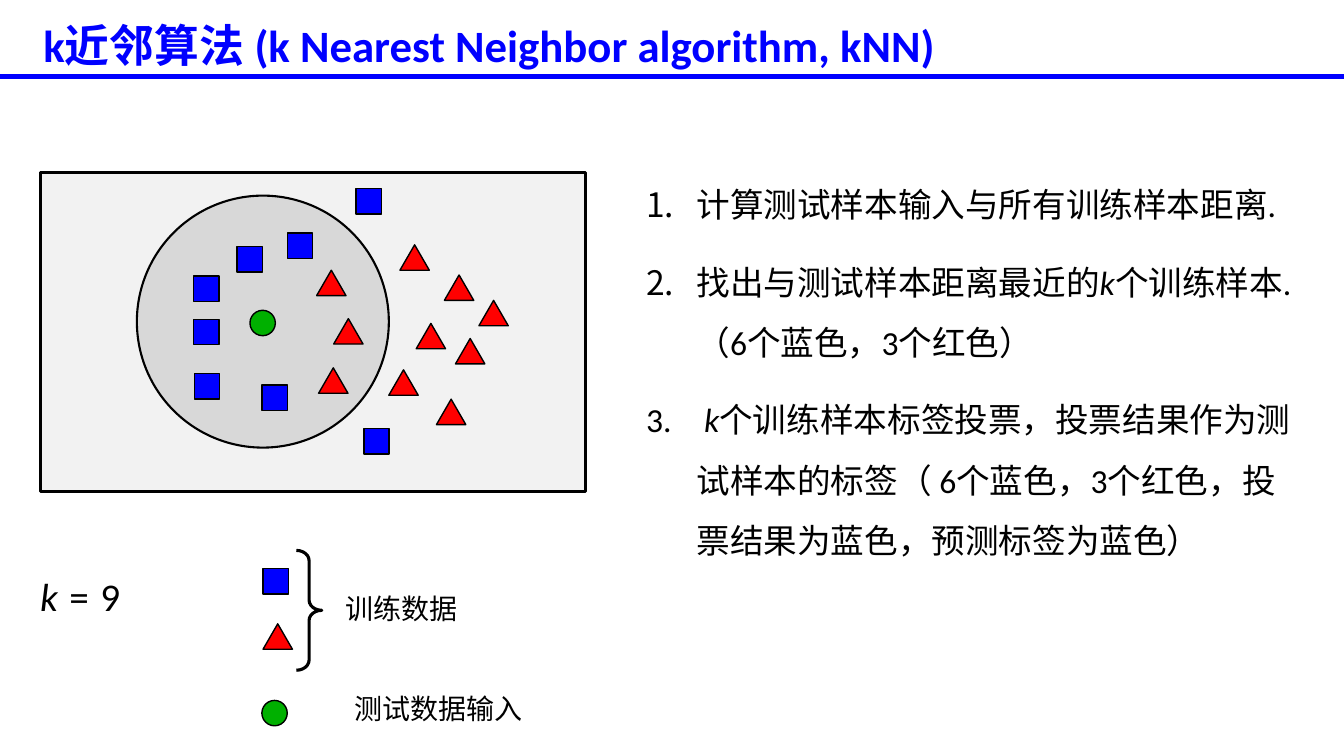
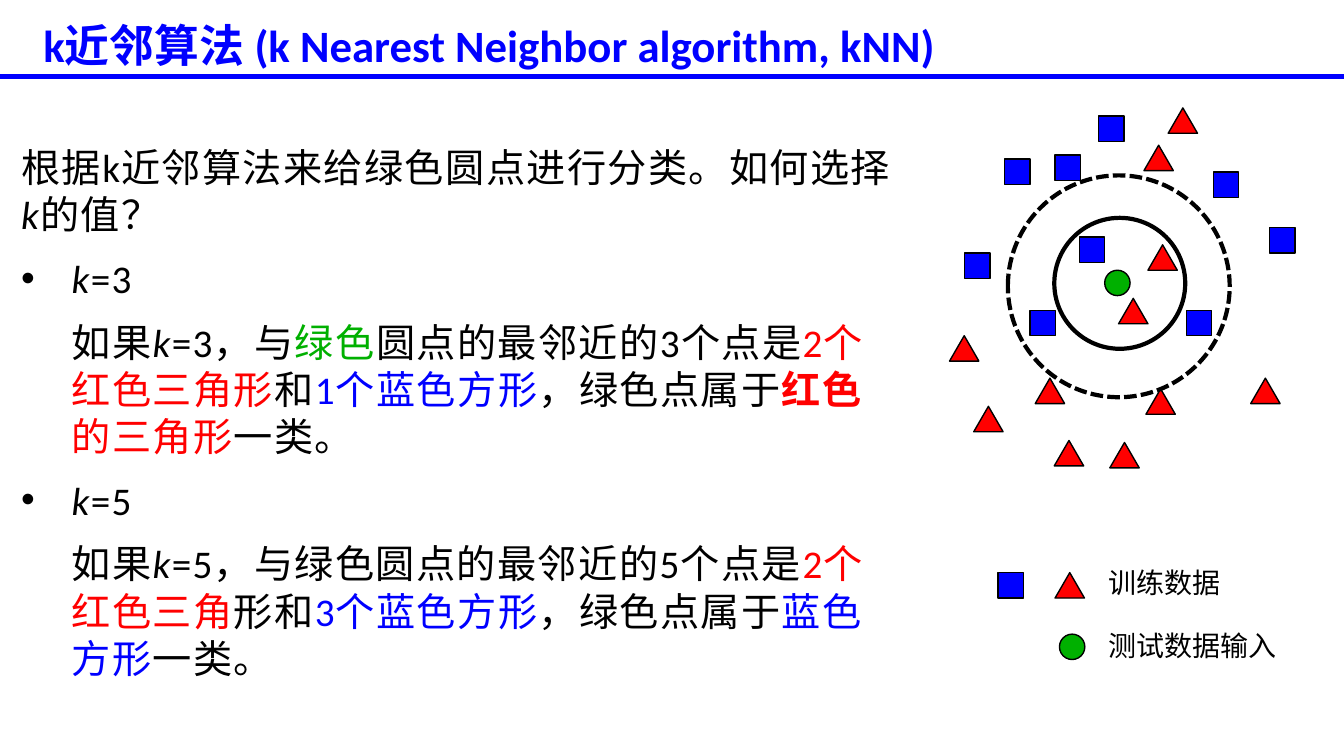
from dataclasses import dataclass
from typing import NamedTuple, Optional

from lxml import etree
from pptx import Presentation
from pptx.dml.color import RGBColor
from pptx.enum import dml, shapes, text
from pptx.oxml import ns
from pptx.util import Cm, Pt

Shape = shapes.MSO_SHAPE


@dataclass(frozen=True)
class Theme:
    black: str = "000000"
    blue: str = "0000FF"
    red: str = "FF0000"
    green: str = "00B000"
    panel: str = "F2F2F2"
    neighbourhood: str = "BFBFBF"
    latin: str = "Calibri"
    east_asian: str = "Noto Sans CJK SC"
    title: int = 32
    large: int = 28
    steps: int = 24
    label: int = 20


THEME = Theme()
SLIDE_W, SLIDE_H = 33.87, 19.05
HANGING = 1.27
TITLE = "k近邻算法 (k Nearest Neighbor algorithm, kNN)"


class Box(NamedTuple):
    left: float
    top: float
    width: float
    height: float

    def lengths(self) -> list:
        return [Cm(value) for value in self]


class Outline(NamedTuple):
    width: float
    dashed: bool = False


class Marker(NamedTuple):
    preset: Shape
    width: float
    fill: str


class Run(NamedTuple):
    text: str
    colour: Optional[str] = None
    italic: bool = False
    bold: bool = False


class Style(NamedTuple):
    size: int
    colour: str = THEME.black
    latin: str = THEME.latin
    bold: bool = False
    tracking: int = 0


class Para(NamedTuple):
    runs: list[Run]
    bullet: str = "buNone"
    margin: float = 0
    level: int = 0
    before: int = 0
    after: int = 0
    spacing: float = 1.0


SQUARE = Marker(Shape.RECTANGLE, 0.64, THEME.blue)
TRIANGLE = Marker(Shape.ISOSCELES_TRIANGLE, 0.74, THEME.red)
DOT = Marker(Shape.OVAL, 0.64, THEME.green)
MARKER_H = 0.64

K = Run("k", italic=True)
TITLE_STYLE = Style(THEME.title, THEME.blue, bold=True)
LARGE_STYLE = Style(THEME.large, tracking=100)
STEP_STYLE = Style(THEME.steps)
LABEL_STYLE = Style(THEME.label, latin=THEME.east_asian)

STEPS = [
    [Run("计算测试样本输入与所有训练样本距离.")],
    [Run("找出与测试样本距离最近的"), K, Run("个训练样本.（6个蓝色，3个红色）")],
    [Run(" "), K, Run("个训练样本标签投票，投票结果作为测试样本的标签"
                      "（ 6个蓝色，3个红色，投票结果为蓝色，预测标签为蓝色）")],
]

QUESTION = [Run("根据k近邻算法来给绿色圆点进行分类。如何选择"), K, Run("的值？")]
CASES = {
    "=3": [Run("如果"), K, Run("=3，与"), Run("绿色", THEME.green),
           Run("圆点的最邻近的3个点是"), Run("2个红色三角形", THEME.red), Run("和"),
           Run("1个蓝色方形", THEME.blue), Run("，绿色点属于"),
           Run("红色", THEME.red, bold=True), Run("的三角形", THEME.red), Run("一类。")],
    "=5": [Run("如果"), K, Run("=5，与绿色圆点的最邻近的5个点是"),
           Run("2个红色三角", THEME.red), Run("形和"), Run("3个蓝色方形", THEME.blue),
           Run("，绿色点属于"), Run("蓝色方形", THEME.blue), Run("一类。")],
}

VOTE_SAMPLES = {
    SQUARE: [(4.88, 6.96), (7.24, 5.87), (4.88, 8.05), (6.6, 9.7),
             (5.97, 6.22), (4.9, 9.42), (9.17, 10.8), (8.97, 4.75)],
    TRIANGLE: [(11.2, 6.93), (12.07, 7.57), (8.41, 8.03), (10.08, 6.17),
               (8.03, 9.27), (11.48, 8.53), (11, 10.06), (9.8, 9.32),
               (7.98, 6.81), (10.49, 8.15)],
    DOT: [(6.3, 7.82)],
}
VOTE_LEGEND = {SQUARE: [(6.63, 14.33)], TRIANGLE: [(6.63, 15.72)], DOT: [(6.6, 17.65)]}

CHOICE_SAMPLES = {
    SQUARE: [(25.32, 4.01), (27.69, 2.92), (32, 5.74), (25.96, 7.82), (26.59, 3.91),
             (24.31, 6.38), (27.2, 5.97), (30.58, 4.34), (29.9, 7.82)],
    TRIANGLE: [(29.44, 2.72), (23.93, 8.46), (26.09, 9.53), (28.83, 3.66),
               (28.19, 7.52), (24.54, 10.24), (27.97, 11.15), (26.57, 11.1),
               (28.88, 9.8), (31.52, 9.53), (28.93, 6.17)],
    DOT: [(27.84, 6.81)],
}
CHOICE_LEGEND = {SQUARE: [(25.15, 14.43)], TRIANGLE: [(26.59, 14.43)], DOT: [(26.7, 15.98)]}


def add_bullet(properties, bullet: str) -> None:
    """Append a bullet: buNone, buAutoNum or a literal character."""
    if bullet == "buNone":
        etree.SubElement(properties, ns.qn("a:buNone"))
        return
    numbered = bullet == "buAutoNum"
    face = THEME.latin if numbered else "Arial"
    etree.SubElement(properties, ns.qn("a:buFont"), typeface=face)
    if numbered:
        etree.SubElement(properties, ns.qn("a:buAutoNum"), type="arabicPeriod")
    else:
        etree.SubElement(properties, ns.qn("a:buChar"), char=bullet)


def format_paragraph(paragraph, para: Para, style: Style) -> None:
    properties = paragraph._p.get_or_add_pPr()
    properties.set("marL", str(Cm(para.margin)))
    properties.set("indent", str(0 if para.bullet == "buNone" else -Cm(para.margin)))
    add_bullet(properties, para.bullet)
    paragraph.level = para.level
    paragraph.alignment = text.PP_ALIGN.LEFT
    paragraph.line_spacing = para.spacing
    paragraph.space_before = Pt(para.before)
    paragraph.space_after = Pt(para.after)
    font = paragraph.font
    font.size = Pt(style.size)
    font.bold = style.bold
    font.name = style.latin
    font.color.rgb = RGBColor.from_string(style.colour)
    defaults = properties.find(ns.qn("a:defRPr"))
    etree.SubElement(defaults, ns.qn("a:ea"), typeface=THEME.east_asian)
    if style.tracking:
        defaults.set("spc", str(style.tracking))


def write(frame, paras: list[Para], style: Style, wrap: bool = True) -> None:
    frame.word_wrap = wrap
    frame.auto_size = text.MSO_AUTO_SIZE.NONE
    frame.vertical_anchor = text.MSO_ANCHOR.TOP
    for index, para in enumerate(paras):
        paragraph = frame.paragraphs[0] if index == 0 else frame.add_paragraph()
        format_paragraph(paragraph, para, style)
        for part in para.runs:
            run = paragraph.add_run()
            run.text = part.text
            if part.italic:
                run.font.italic = True
            if part.bold:
                run.font.bold = True
            if part.colour:
                run.font.color.rgb = RGBColor.from_string(part.colour)


def place(shape, box: Box) -> None:
    shape.left, shape.top, shape.width, shape.height = box.lengths()


def add_label(slide, box: Box, runs: list[Run], style: Style, wrap: bool = False) -> None:
    label = slide.shapes.add_textbox(*box.lengths())
    write(label.text_frame, [Para(runs)], style, wrap)


def add_outlined(slide, preset: Shape, box: Box, outline: Outline,
                 fill: Optional[str] = None):
    shape = slide.shapes.add_shape(preset, *box.lengths())
    shape.shadow.inherit = False
    if fill:
        shape.fill.solid()
        shape.fill.fore_color.rgb = RGBColor.from_string(fill)
    else:
        shape.fill.background()
    shape.line.color.rgb = RGBColor.from_string(THEME.black)
    shape.line.width = Pt(outline.width)
    if outline.dashed:
        shape.line.dash_style = dml.MSO_LINE.SQUARE_DOT
    return shape


def add_markers(slide, samples: dict[Marker, list[tuple[float, float]]]) -> None:
    for marker, points in samples.items():
        for left, top in points:
            box = Box(left, top, marker.width, MARKER_H)
            add_outlined(slide, marker.preset, box, Outline(1), marker.fill)


def add_legend(slide, markers: dict, training: tuple[float, float],
               test: tuple[float, float]) -> None:
    add_markers(slide, markers)
    add_label(slide, Box(*training, 3.35, 1.12), [Run("训练数据")], LABEL_STYLE)
    add_label(slide, Box(*test, 4.78, 1.12), [Run("测试数据输入")], LABEL_STYLE)


def add_knn_slide(deck, body_box: Box, paras: list[Para], style: Style):
    """Add a slide with the shared title, the rule under it and a body list."""
    slide = deck.slides.add_slide(deck.slide_layouts[1])
    title, body = slide.placeholders
    place(title, Box(0.84, 0.33, 26.16, 1.63))
    write(title.text_frame, [Para([Run(TITLE)])], TITLE_STYLE)
    place(body, body_box)
    write(body.text_frame, paras, style)
    rule = slide.shapes.add_connector(
        shapes.MSO_CONNECTOR.STRAIGHT, Cm(0), Cm(1.93), Cm(SLIDE_W), Cm(1.93))
    rule.line.color.rgb = RGBColor.from_string(THEME.blue)
    rule.line.width = Pt(4)
    etree.SubElement(rule._element.spPr, ns.qn("a:effectLst"))
    return slide


def build_vote_slide(deck) -> None:
    last = len(STEPS) - 1
    paras = [Para(runs, "buAutoNum", HANGING, after=12 if index < last else 0, spacing=1.5)
             for index, runs in enumerate(STEPS)]
    slide = add_knn_slide(deck, Box(16.03, 4.01, 16.94, 10.16), paras, STEP_STYLE)
    add_outlined(slide, Shape.RECTANGLE, Box(1.02, 4.34, 13.74, 8.05),
                 Outline(2.25), THEME.panel)
    neighbourhood = add_outlined(slide, Shape.OVAL, Box(3.45, 4.93, 6.35, 6.35),
                                 Outline(1.5), THEME.neighbourhood)
    colour = neighbourhood._element.spPr.find(
        f"{ns.qn('a:solidFill')}/{ns.qn('a:srgbClr')}")
    etree.SubElement(colour, ns.qn("a:alpha"), val="50000")
    add_markers(slide, VOTE_SAMPLES)
    add_label(slide, Box(0.76, 14.3, 6.17, 1.45), [K, Run(" = 9")], LARGE_STYLE, wrap=True)
    add_legend(slide, VOTE_LEGEND, (8.46, 14.78), (8.69, 17.3))
    brace = add_outlined(slide, Shape.RIGHT_BRACE, Box(7.47, 13.87, 0.64, 3.02),
                         Outline(2.25))
    brace.adjustments[0] = 0.4


def build_choice_slide(deck) -> None:
    paras = [Para(QUESTION)]
    for value, explanation in CASES.items():
        paras.append(Para([K, Run(value)], "•", HANGING, before=12, after=12))
        paras.append(Para(explanation, margin=HANGING, level=1))
    slide = add_knn_slide(deck, Box(0.28, 3.48, 22.73, 13.94), paras, LARGE_STYLE)
    add_outlined(slide, Shape.OVAL, Box(26.57, 5.49, 3.3, 3.3), Outline(3))
    add_markers(slide, CHOICE_SAMPLES)
    add_outlined(slide, Shape.OVAL, Box(25.4, 4.42, 5.59, 5.59), Outline(3, dashed=True))
    add_legend(slide, CHOICE_LEGEND, (27.69, 14.12), (27.69, 15.72))


def main() -> None:
    deck = Presentation()
    deck.slide_width, deck.slide_height = Cm(SLIDE_W), Cm(SLIDE_H)
    build_vote_slide(deck)
    build_choice_slide(deck)
    deck.save("out.pptx")


if __name__ == "__main__":
    main()
